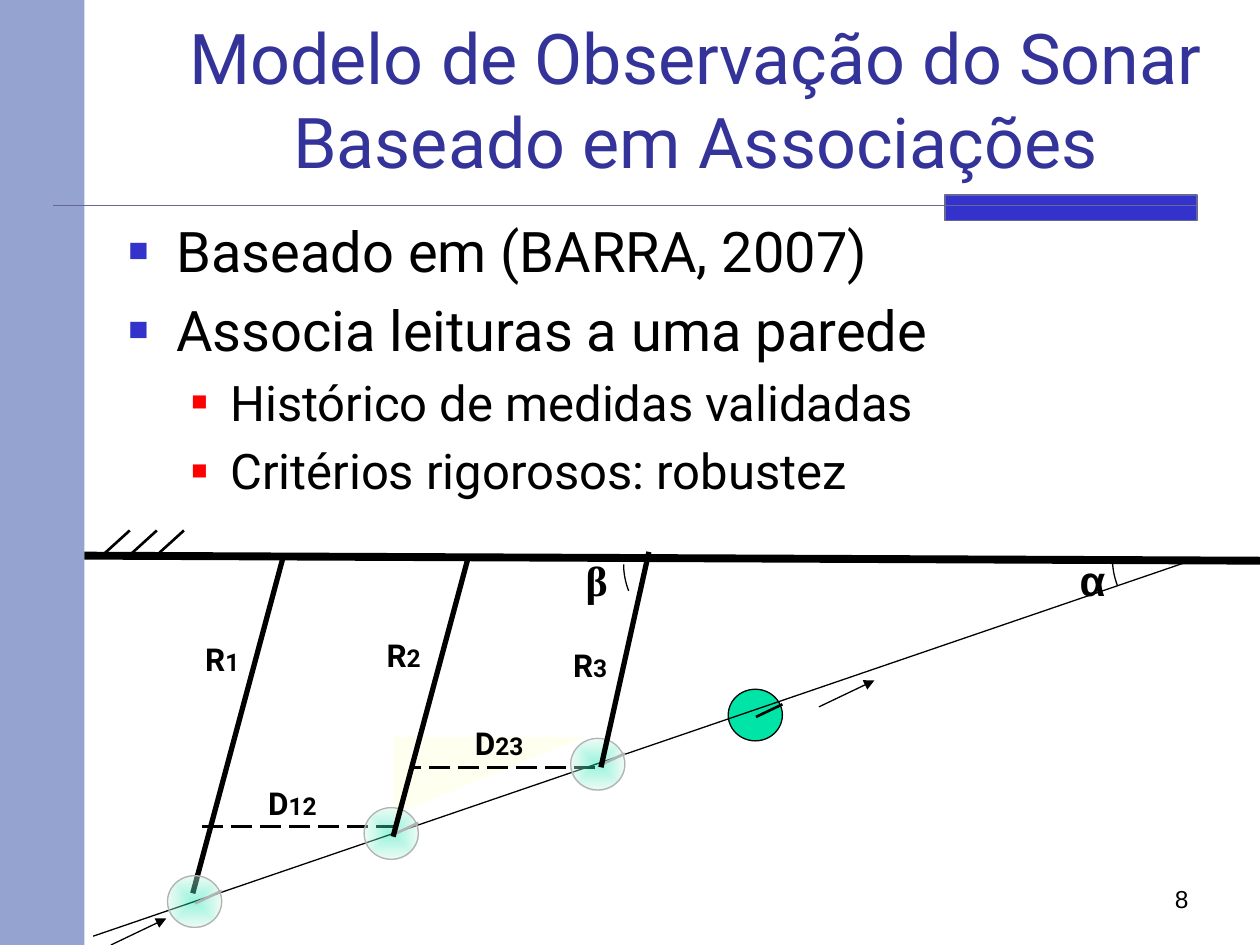
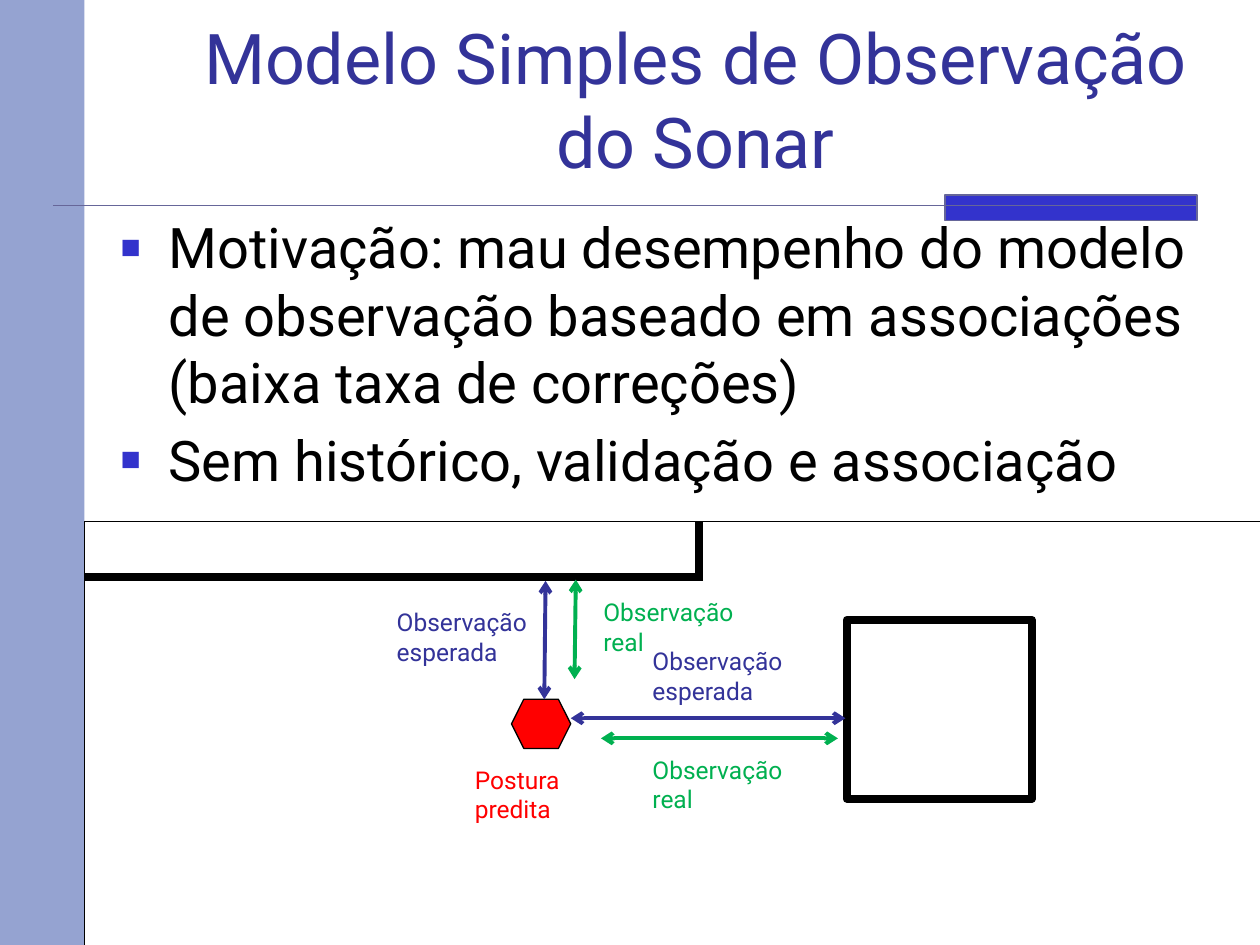
from dataclasses import dataclass
from typing import Optional

from lxml.etree import SubElement
from pptx import Presentation
from pptx.dml.color import RGBColor
from pptx.enum.dml import MSO_LINE
from pptx.enum.shapes import MSO_CONNECTOR, MSO_SHAPE
from pptx.enum.text import MSO_ANCHOR, MSO_AUTO_SIZE, PP_ALIGN
from pptx.oxml.ns import qn
from pptx.util import Emu, Inches, Pt

# The slide is a grid of 10 columns by 7.5 rows of square cells.
COLUMNS, ROWS = 10, 7.5
CELL = Inches(1)
TITLE_ONLY = 5

BLACK = RGBColor(0x00, 0x00, 0x00)
INDIGO = RGBColor(0x33, 0x33, 0x99)
BLUE = RGBColor(0x33, 0x33, 0xCC)
SLATE = RGBColor(0x66, 0x66, 0x99)
PERIWINKLE = RGBColor(0x95, 0xA3, 0xD1)
RED = RGBColor(0xFF, 0x00, 0x00)
GREEN = RGBColor(0x00, 0xB0, 0x50)
MINT = RGBColor(0x00, 0xE4, 0xA8)
PALE_MINT = RGBColor(0xDC, 0xF8, 0xEA)
CREAM = RGBColor(0xFF, 0xFF, 0xCC)
GRAY = RGBColor(0xB2, 0xB2, 0xB2)

FONT = "Roboto"
SIDEBAR = 0.67
ROBOT_WIDTH, ROBOT_HEIGHT = 0.43, 0.41

Point = tuple[float, float]


@dataclass(frozen=True)
class Box:
    left: float
    top: float
    width: float
    height: float

    def emu(self) -> list[Emu]:
        return [grid(n) for n in (self.left, self.top, self.width, self.height)]


@dataclass(frozen=True)
class Stroke:
    start: Point
    end: Point
    width: float = 0.75
    color: RGBColor = BLACK
    dashed: bool = False
    head: Optional[str] = None
    tail: Optional[str] = None


@dataclass(frozen=True)
class Label:
    """Text with an optional smaller index after it."""
    box: Box
    text: str
    size: float = 14
    color: RGBColor = BLACK
    bold: bool = False
    font: str = FONT
    index: str = ""
    align: PP_ALIGN = PP_ALIGN.LEFT


@dataclass(frozen=True)
class Level:
    size: float
    indent: float
    hanging: float
    bullet_color: RGBColor
    bullet_percent: int


@dataclass(frozen=True)
class Topic:
    text: str
    level: int = 0


LEVELS = [Level(32, 0.38, 0.38, BLUE, 60), Level(28, 0.81, 0.31, RED, 55)]


def grid(cells: float) -> Emu:
    return Emu(round(cells * CELL))


def draw_shape(slide, kind: MSO_SHAPE, box: Box, fill: Optional[RGBColor] = None,
               line: Optional[RGBColor] = None, width: float = 0.75):
    shape = slide.shapes.add_shape(kind, *box.emu())
    shape.shadow.inherit = False
    paint(shape, fill, line, width)
    return shape


def paint(shape, fill: Optional[RGBColor], line: Optional[RGBColor], width: float) -> None:
    if fill is None:
        shape.fill.background()
    else:
        shape.fill.solid()
        shape.fill.fore_color.rgb = fill
    if line is None:
        shape.line.fill.background()
    else:
        shape.line.color.rgb = line
        shape.line.width = Pt(width)


def draw_stroke(slide, stroke: Stroke) -> None:
    ends = [grid(n) for n in (*stroke.start, *stroke.end)]
    connector = slide.shapes.add_connector(MSO_CONNECTOR.STRAIGHT, *ends)
    connector.line.color.rgb = stroke.color
    connector.line.width = Pt(stroke.width)
    if stroke.dashed:
        connector.line.dash_style = MSO_LINE.LONG_DASH
    properties = connector.element.spPr
    outline = properties.find(qn("a:ln"))
    for tag, arrow in (("a:headEnd", stroke.head), ("a:tailEnd", stroke.tail)):
        if arrow:
            SubElement(outline, qn(tag), type=arrow)
    SubElement(properties, qn("a:effectLst"))


def format_run(run, size: float, color: RGBColor, font: str = FONT, bold: bool = False) -> None:
    run.font.size = Pt(size)
    run.font.color.rgb = color
    run.font.name = font
    run.font.bold = bold


def draw_label(slide, label: Label) -> None:
    frame = slide.shapes.add_textbox(*label.box.emu()).text_frame
    frame.word_wrap = True
    frame.text = label.text
    paragraph = frame.paragraphs[0]
    paragraph.alignment = label.align
    format_run(paragraph.runs[0], label.size, label.color, label.font, label.bold)
    if label.index:
        index = paragraph.add_run()
        index.text = label.index
        format_run(index, 14, label.color, label.font, label.bold)


def add_bullet(paragraph, level: Level) -> None:
    properties = paragraph._p.get_or_add_pPr()
    properties.set("marL", str(grid(level.indent)))
    properties.set("indent", str(-grid(level.hanging)))
    color = SubElement(properties, qn("a:buClr"))
    SubElement(color, qn("a:srgbClr"), val=str(level.bullet_color))
    SubElement(properties, qn("a:buSzPct"), val=str(level.bullet_percent * 1000))
    SubElement(properties, qn("a:buFont"), typeface="Arial")
    SubElement(properties, qn("a:buChar"), char="■")


def draw_topics(slide, box: Box, topics: list[Topic]) -> None:
    frame = slide.shapes.add_textbox(*box.emu()).text_frame
    frame.word_wrap = True
    frame.text = "\n".join(topic.text for topic in topics)
    for paragraph, topic in zip(frame.paragraphs, topics):
        level = LEVELS[topic.level]
        paragraph.level = topic.level
        paragraph.space_before = Pt(level.size * 0.2)
        add_bullet(paragraph, level)
        format_run(paragraph.runs[0], level.size, BLACK)


def add_titled_slide(deck, title: str):
    """Add a slide with the shared sidebar, rule and title style."""
    slide = deck.slides.add_slide(deck.slide_layouts[TITLE_ONLY])
    draw_shape(slide, MSO_SHAPE.RECTANGLE, Box(0, 0, SIDEBAR, ROWS), PERIWINKLE)
    draw_shape(slide, MSO_SHAPE.RECTANGLE, Box(7.5, 1.55, 2, 0.2), BLUE, SLATE, 1)
    draw_stroke(slide, Stroke((0.42, 1.63), (9.5, 1.63), 1, SLATE))
    heading = slide.shapes.title
    heading.left, heading.top, heading.width, heading.height = Box(1.26, 0.25, 8.52, 1.25).emu()
    frame = heading.text_frame
    frame.text = title
    frame.word_wrap = True
    frame.auto_size = MSO_AUTO_SIZE.NONE
    frame.vertical_anchor = MSO_ANCHOR.BOTTOM
    frame.paragraphs[0].alignment = PP_ALIGN.CENTER
    format_run(frame.paragraphs[0].runs[0], 40, INDIGO)
    return slide


def set_alpha(shape, percent: int) -> None:
    for color in shape.element.spPr.iterfind(".//" + qn("a:srgbClr")):
        if color.getparent().getparent().tag != qn("a:ln"):
            SubElement(color, qn("a:alpha"), val=str(percent * 1000))


def draw_robot(slide, left: float, top: float, past: bool = False) -> None:
    """Draw a robot with its heading; past positions are faded."""
    line = GRAY if past else BLACK
    body = draw_shape(slide, MSO_SHAPE.OVAL, Box(left, top, ROBOT_WIDTH, ROBOT_HEIGHT), MINT, line)
    if past:
        body.fill.gradient()
        for stop, color in zip(body.fill.gradient_stops, (MINT, PALE_MINT)):
            stop.color.rgb = color
        set_alpha(body, 40)
        gradient = body.element.spPr.find(qn("a:gradFill"))
        gradient.remove(gradient.find(qn("a:lin")))
        shading = SubElement(gradient, qn("a:path"), path="shape")
        SubElement(shading, qn("a:fillToRect"), dict.fromkeys("ltrb", "50000"))
    draw_stroke(slide, Stroke((left + 0.22, top + 0.22), (left + 0.43, top + 0.12), 1.5, line))


def draw_angle_arc(slide, left: float, top: float) -> None:
    steps = 12
    points = [(grid(left + 0.04 * (i / steps) ** 2), grid(top + 0.21 * i / steps))
              for i in range(steps + 1)]
    builder = slide.shapes.build_freeform(*points[0])
    builder.add_line_segments(points[1:], close=False)
    arc = builder.convert_to_shape()
    arc.shadow.inherit = False
    paint(arc, None, BLACK, 0.75)


def build_association_slide(deck) -> None:
    slide = add_titled_slide(deck, "Modelo de Observação do Sonar Baseado em Associações")
    draw_topics(slide, Box(0.92, 1.67, 8.88, 2.55), [
        Topic("Baseado em (BARRA, 2007)"),
        Topic("Associa leituras a uma parede"),
        Topic("Histórico de medidas validadas", 1),
        Topic("Critérios rigorosos: robustez", 1),
    ])
    draw_label(slide, Label(Box(7.42, 6.97, 2.11, 0.45), "8", font="Arial", align=PP_ALIGN.RIGHT))

    beam = draw_shape(slide, MSO_SHAPE.RIGHT_TRIANGLE, Box(3.12, 5.85, 1.52, 0.62), CREAM)
    beam.element.spPr.find(qn("a:xfrm")).set("flipV", "1")
    set_alpha(beam, 29)

    for left, top, letter, index in [(2.03, 6.17, "D", "12"), (3.67, 5.7, "D", "23"),
                                     (4.45, 5.08, "R", "3"), (1.53, 5.03, "R", "1"),
                                     (2.97, 5, "R", "2")]:
        draw_label(slide, Label(Box(left, top, 0.65, 0.33), letter, 18, bold=True, index=index))

    draw_robot(slide, 5.78, 5.47)
    wall = Stroke((SIDEBAR, 4.41), (COLUMNS, 4.45), 4.5)
    hatching = [Stroke((0.81 + 0.215 * i, 4.41), (1.03 + 0.215 * i, 4.21), 1.5) for i in range(3)]
    trajectory = Stroke((9.45, 4.45), (0.74, 7.43))
    first_reading = Stroke((2.25, 4.41), (1.53, 7.09), 3)
    distances = [Stroke((3.15, 6.56), (1.56, 6.56), 1.5, dashed=True),
                 Stroke((4.72, 6.09), (3.28, 6.09), 1.5, dashed=True)]
    for stroke in [wall, *hatching, trajectory, first_reading, *distances]:
        draw_stroke(slide, stroke)

    for left, top in [(2.89, 6.41), (1.33, 6.95), (4.53, 5.86)]:
        draw_robot(slide, left, top, past=True)

    directions = [Stroke((x, y), (x + 0.44, y - 0.21), tail="triangle")
                  for x, y in [(6.5, 5.61), (0.88, 7.5)]]
    later_readings = [Stroke((3.72, 4.41), (3.12, 6.64), 3), Stroke((5.15, 4.38), (4.77, 6.09), 3)]
    for stroke in directions + later_readings:
        draw_stroke(slide, stroke)

    for left, letter, font, arc in [(8.47, "α", "Arial", (8.83, 4.44)),
                                    (4.55, "β", "Times New Roman", (4.95, 4.48))]:
        draw_angle_arc(slide, *arc)
        draw_label(slide, Label(Box(left, 4.35, 0.4, 0.41), letter, 24, bold=True, font=font))


def build_simple_model_slide(deck) -> None:
    slide = add_titled_slide(deck, "Modelo Simples de Observação do Sonar")
    draw_topics(slide, Box(0.86, 1.64, 8.88, 2.58), [
        Topic("Motivação: mau desempenho do modelo de observação baseado em associações "
              "(baixa taxa de correções)"),
        Topic("Sem histórico, validação e associação"),
    ])

    room = Box(SIDEBAR, 4.14, COLUMNS - SIDEBAR, ROWS - 4.14)
    draw_shape(slide, MSO_SHAPE.RECTANGLE, room, line=BLACK, width=0.25)
    draw_stroke(slide, Stroke((5.58, 4.58), (SIDEBAR, 4.58), 4.5))
    draw_stroke(slide, Stroke((5.55, 4.58), (5.55, 4.14), 4.5))
    draw_shape(slide, MSO_SHAPE.RECTANGLE, Box(6.72, 4.92, 1.47, 1.42), line=BLACK, width=4.5)
    draw_shape(slide, MSO_SHAPE.HEXAGON, Box(4.06, 5.55, 0.47, 0.39), RED, BLACK)

    for start, end, color in [((4.32, 5.55), (4.33, 4.61), INDIGO),
                              ((4.56, 5.39), (4.57, 4.6), GREEN),
                              ((6.71, 5.7), (4.53, 5.7), INDIGO),
                              ((4.77, 5.86), (6.65, 5.86), GREEN)]:
        draw_stroke(slide, Stroke(start, end, 2.25, color, head="arrow", tail="arrow"))

    for left, top, width, text, color in [(3.05, 4.77, 1.25, "Observação esperada", INDIGO),
                                          (4.69, 4.69, 1.33, "Observação real", GREEN),
                                          (5.08, 5.08, 1.33, "Observação esperada", INDIGO),
                                          (5.08, 5.94, 1.33, "Observação real", GREEN),
                                          (3.67, 6.02, 1, "Postura predita", RED)]:
        draw_label(slide, Label(Box(left, top, width, 0.57), text, color=color))


def main() -> None:
    deck = Presentation()
    deck.slide_width, deck.slide_height = grid(COLUMNS), grid(ROWS)
    build_association_slide(deck)
    build_simple_model_slide(deck)
    deck.save("out.pptx")


if __name__ == "__main__":
    main()
